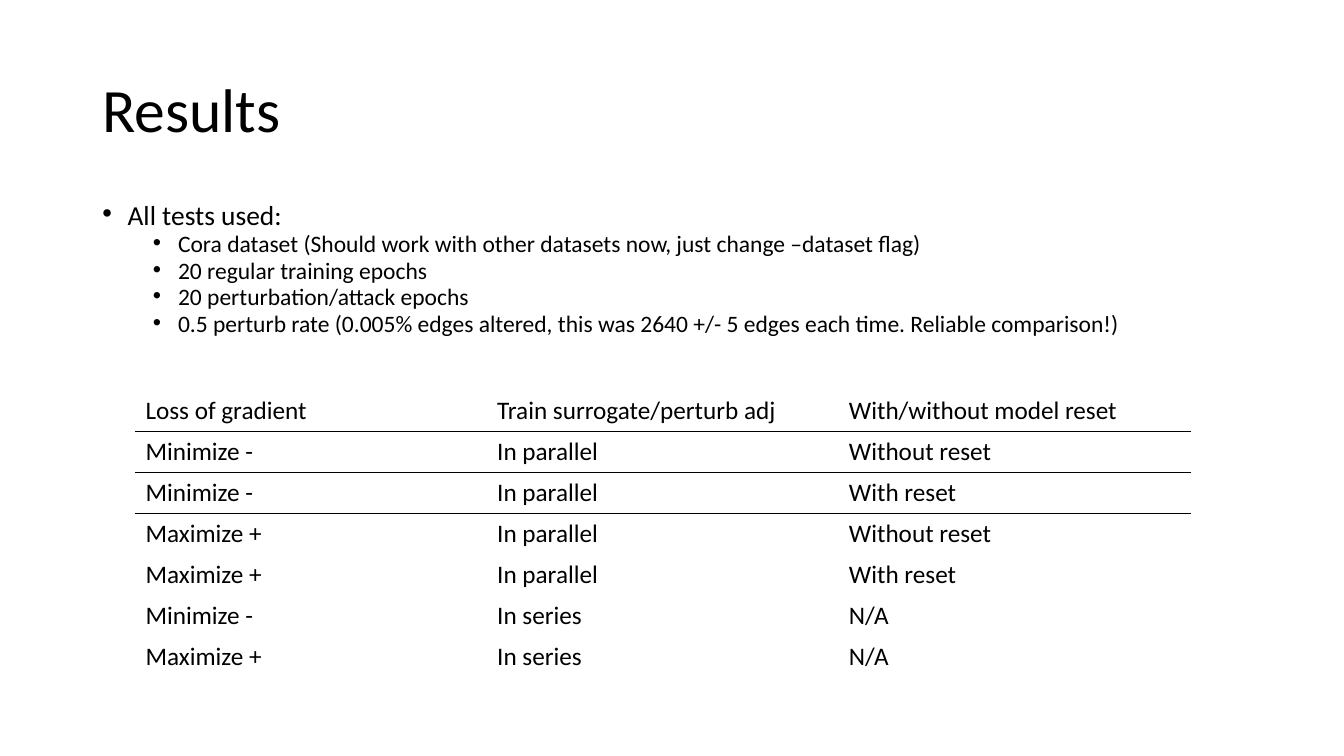
from lxml import etree
from pptx import Presentation
from pptx import util as u
from pptx.dml.color import RGBColor
from pptx.enum import text
from pptx.oxml import ns

PX = 9525  # EMU in one px, 96 px to the inch
BLACK = RGBColor(0x00, 0x00, 0x00)
FONT = "Calibri"
PLAIN_TABLE_STYLE = "{2D5ABB26-0587-4C30-8999-92F81FD0307C}"

SETTINGS = [
    "Cora dataset (Should work with other datasets now, just change –dataset flag)",
    "20 regular training epochs",
    "20 perturbation/attack epochs",
    "0.5 perturb rate (0.005% edges altered, this was 2640 +/- 5 edges each time. "
    "Reliable comparison!)",
]
TEST_ROWS = [
    ["Loss of gradient", "Train surrogate/perturb adj", "With/without model reset"],
    ["Minimize -", "In parallel", "Without reset"],
    ["Minimize -", "In parallel", "With reset"],
    ["Maximize +", "In parallel", "Without reset"],
    ["Maximize +", "In parallel", "With reset"],
    ["Minimize -", "In series", "N/A"],
    ["Maximize +", "In series", "N/A"],
]


class SlideBuilder:
    def __init__(self, slide):
        self.slide = slide

    def place(self, shape, left, top, width, height):
        shape.left, shape.top = left * PX, top * PX
        shape.width, shape.height = width * PX, height * PX

    def add_run(self, paragraph, words, size):
        run = paragraph.add_run()
        run.text = words
        run.font.name = FONT
        run.font.size = u.Pt(size)
        run.font.color.rgb = BLACK

    def title(self, words, *box):
        shape = self.slide.shapes.title
        self.place(shape, *box)
        frame = shape.text_frame
        frame.vertical_anchor = text.MSO_ANCHOR.MIDDLE
        paragraph = frame.paragraphs[0]
        paragraph.alignment = text.PP_ALIGN.LEFT
        paragraph.line_spacing = 0.9
        self.add_run(paragraph, words, 44)

    def bullet(self, paragraph, words, level):
        paragraph.level = level
        paragraph.line_spacing = 0.7
        paragraph.space_before = u.Pt((10, 5)[level])
        properties = paragraph._p.get_or_add_pPr()
        properties.set("marL", str((24, 72)[level] * PX))
        properties.set("indent", str(-24 * PX))
        etree.SubElement(properties, ns.qn("a:buFont"), typeface="Arial")
        etree.SubElement(properties, ns.qn("a:buChar"), char="•")
        self.add_run(paragraph, words, (19.6, 16.8)[level])

    def bullet_list(self, heading, items, *box):
        shape = self.slide.placeholders[1]
        self.place(shape, *box)
        frame = shape.text_frame
        frame.auto_size = text.MSO_AUTO_SIZE.NONE
        self.bullet(frame.paragraphs[0], heading, 0)
        for item in items:
            self.bullet(frame.add_paragraph(), item, 1)

    def cell_border(self, cell, side):
        """Draw a 1 pt black line on one side, such as a:lnB."""
        line = etree.Element(ns.qn(side), w=str(u.Pt(1)))
        fill = etree.SubElement(line, ns.qn("a:solidFill"))
        etree.SubElement(fill, ns.qn("a:srgbClr"), val=str(BLACK))
        cell._tc.get_or_add_tcPr().insert(0, line)

    def table(self, rows, left, top, column_width, row_height, ruled_rows):
        """Add a plain table with a line under each of the first ruled_rows."""
        columns = len(rows[0])
        frame = self.slide.shapes.add_table(
            len(rows), columns, left * PX, top * PX,
            columns * column_width * PX, len(rows) * row_height * PX)
        table = frame.table
        table.first_row = table.horz_banding = False
        table._tbl.tblPr.find(ns.qn("a:tableStyleId")).text = PLAIN_TABLE_STYLE
        for row_index, row in enumerate(rows):
            for column_index, words in enumerate(row):
                cell = table.cell(row_index, column_index)
                cell.fill.background()
                self.add_run(cell.text_frame.paragraphs[0], words, 18)
                if row_index < ruled_rows:
                    self.cell_border(cell, "a:lnB")
                if 0 < row_index <= ruled_rows:
                    self.cell_border(cell, "a:lnT")


def main():
    presentation = Presentation()
    presentation.slide_width, presentation.slide_height = 1280 * PX, 720 * PX
    builder = SlideBuilder(presentation.slides.add_slide(presentation.slide_layouts[1]))
    builder.title("Results", 88, 38, 1104, 139)
    builder.bullet_list("All tests used:", SETTINGS, 88, 192, 1098, 161)
    builder.table(TEST_ROWS, 129, 372, 335, 39, ruled_rows=2)
    presentation.save("out.pptx")


if __name__ == "__main__":
    main()
